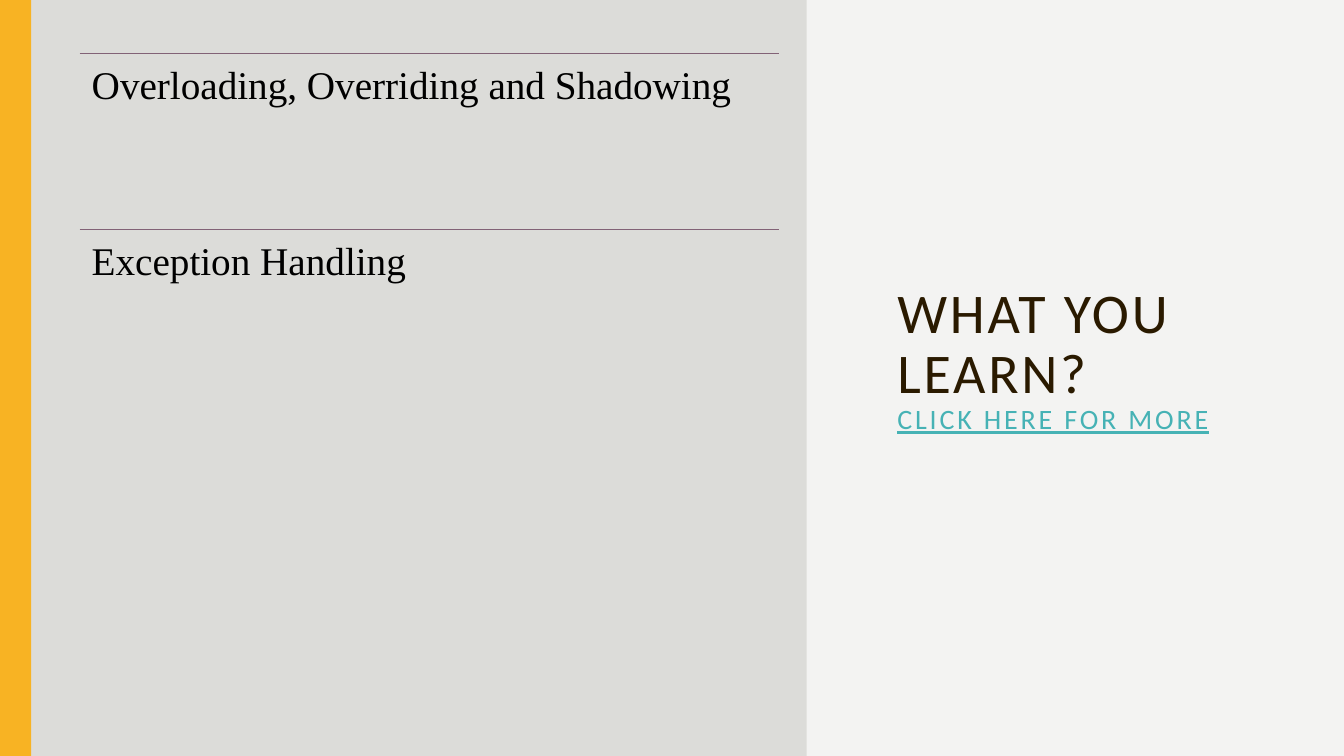
"""Builds the "What you learn?" slide with a wavy topic panel."""
import copy
import math

import pptx
import pptx.dml.color
import pptx.enum.shapes
import pptx.enum.text
import pptx.oxml
import pptx.oxml.ns
import pptx.util

Inches = pptx.util.Inches
Pt = pptx.util.Pt
COLORS = {
    "back": "F3F3F2",
    "panel": "DCDCD9",
    "bar": "F8B323",
    "title": "2A1A00",
    "link": "46B2B5",
    "rule": "826276",
    "topic": "000000",
}
TOPICS = ["Overloading, Overriding and Shadowing", "Exception Handling"]
WIDE, HIGH = 13.33, 7.5


def color(name):
    return pptx.dml.color.RGBColor.from_string(COLORS[name])


def paint(shape, name):
    shape.fill.solid()
    shape.fill.fore_color.rgb = color(name)
    shape.line.fill.background()
    shape.shadow.inherit = False


def write(para, text, size, font, tint, under=None, space=0):
    run = para.add_run()
    run.text = text
    run.font.size = Pt(size)
    run.font.name = font
    run.font.color.rgb = color(tint)
    run.font.underline = under
    if space:
        run.font._element.set("spc", str(space * 100))
    return run


def add_wave(slide, mid=8.18, swing=0.1, period=1.5, step=0.05):
    count = round(HIGH / step)
    edge = [
        (mid - swing * math.cos(math.tau * i * step / period), i * step)
        for i in range(count + 1)
    ]
    build = slide.shapes.build_freeform(0, 0, scale=Inches(1))
    build.add_line_segments(edge + [(0, HIGH)], close=True)
    paint(build.convert_to_shape(), "panel")


def add_bar(slide):
    kind = pptx.enum.shapes.MSO_SHAPE.RECTANGLE
    bar = slide.shapes.add_shape(kind, 0, 0, Inches(0.31), Inches(HIGH))
    paint(bar, "bar")


def add_title(slide):
    title = slide.shapes.title
    title.left, title.top = Inches(8.8), Inches(0.53)
    title.width, title.height = Inches(4), Inches(6.09)
    frame = title.text_frame
    frame.word_wrap = True
    frame.auto_size = pptx.enum.text.MSO_AUTO_SIZE.NONE
    frame.vertical_anchor = pptx.enum.text.MSO_ANCHOR.MIDDLE
    para = frame.paragraphs[0]
    para.alignment = pptx.enum.text.PP_ALIGN.LEFT
    para.line_spacing = 0.9
    head = write(para, "WHAT YOU LEARN?", 40, "Calibri", "title", space=2)
    para.add_line_break()
    para._p[-1].append(copy.deepcopy(head.font._element))
    write(para, "CLICK HERE FOR MORE", 20, "Calibri", "link", under=True, space=2)


def add_rule(slide, left, top, width):
    kind = pptx.enum.shapes.MSO_CONNECTOR.STRAIGHT
    rule = slide.shapes.add_connector(
        kind, Inches(left), Inches(top), Inches(left + width), Inches(top)
    )
    rule.line.color.rgb = color("rule")
    rule.line.width = Pt(0.5)
    props = rule._element.spPr
    props.append(pptx.oxml.parse_xml(
        "<a:effectLst %s/>" % pptx.oxml.ns.nsdecls("a")
    ))


def add_topic(slide, text, top, left=0.79, width=6.94, height=1.75):
    add_rule(slide, left, top, width)
    box = slide.shapes.add_textbox(
        Inches(left), Inches(top), Inches(width), Inches(height)
    )
    frame = box.text_frame
    frame.word_wrap = True
    frame.margin_left = frame.margin_right = Inches(0.12)
    frame.margin_top = frame.margin_bottom = Inches(0.12)
    para = frame.paragraphs[0]
    para.line_spacing = 0.9
    write(para, text, 28, "Times New Roman", "topic")


def main():
    deck = pptx.Presentation()
    deck.slide_width, deck.slide_height = Inches(WIDE), Inches(HIGH)
    slide = deck.slides.add_slide(deck.slide_layouts[5])
    slide.background.fill.solid()
    slide.background.fill.fore_color.rgb = color("back")
    add_wave(slide)
    add_bar(slide)
    add_title(slide)
    for i, text in enumerate(TOPICS):
        add_topic(slide, text, 0.53 + 1.75 * i)
    deck.save("out.pptx")


main()
